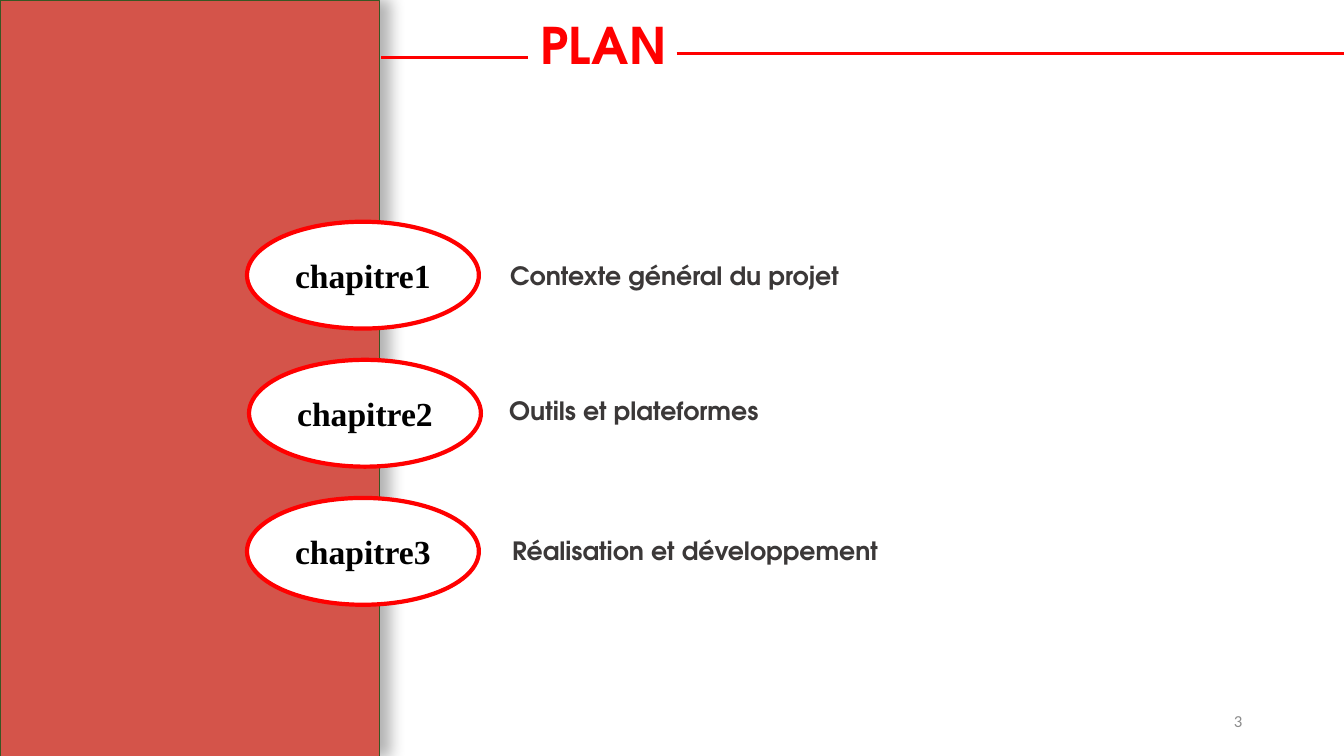
from lxml import etree
from pptx import Presentation
from pptx import util as u
from pptx.dml.color import RGBColor
from pptx.enum import shapes, text
from pptx.oxml.ns import qn

COLOURS = {
    "red": "FF0000", "panel": "D4544A", "panel_edge": "385723", "white": "FFFFFF",
    "black": "000000", "dark": "3B3838", "grey": "8C8C8C",
}
HEADING_FONT = "TeX Gyre Adventor"
SLIDE = (1333, 750)
PANEL_WIDTH = 376
TITLE = ("PLAN", (506, 9, 185, 71))
PAGE_NUMBER = ("3", (942, 695, 300, 40))
# y, start x, end x
TITLE_RULES = [(57, 378, 524), (53, 671, 1333)]
# label, oval left, topic, topic left, topic top, topic width
CHAPTERS = [
    ("chapitre1", 245, "Contexte général du projet", 496, 253, 518),
    ("chapitre2", 247, "Outils et plateformes", 495, 387, 569),
    ("chapitre3", 245, "Réalisation et développement", 498, 526, 511),
]
OVAL_TOP, OVAL_STEP, OVAL_SIZE = 220, 137, (230, 106)
TOPIC_HEIGHT = 40


def px(length):
    """Turn px, 100 to the inch, into EMU."""
    return u.Emu(length * 9144)


def colour(name):
    return RGBColor.from_string(COLOURS[name])


def write(shape, words, font, size, ink, align, bold=True):
    para = shape.text_frame.paragraphs[0]
    para.text = words
    para.alignment = align
    para.font.name = font
    para.font.size = u.Pt(size)
    para.font.bold = bold
    para.font.color.rgb = colour(ink)


def add_text(page, words, frame, font, size, ink, align, bold=True):
    box = page.shapes.add_textbox(*map(px, frame))
    box.text_frame.word_wrap = True
    write(box, words, font, size, ink, align, bold)
    return box


def add_shape(page, kind, frame, fill, edge, edge_width):
    shape = page.shapes.add_shape(kind, *map(px, frame))
    shape.shadow.inherit = False
    shape.fill.solid()
    shape.fill.fore_color.rgb = colour(fill)
    shape.line.color.rgb = colour(edge)
    shape.line.width = u.Pt(edge_width)
    return shape


def cast_shadow_right(shape):
    effects = shape._element.spPr.find(qn("a:effectLst"))
    shadow = etree.SubElement(
        effects, qn("a:outerShdw"), blurRad=str(u.Pt(10.8)), dist=str(u.Pt(8)),
        dir="0", algn="l", rotWithShape="0")
    tint = etree.SubElement(shadow, qn("a:srgbClr"), val=COLOURS["black"])
    etree.SubElement(tint, qn("a:alpha"), val="30000")


def add_rule(page, y, start, end):
    rule = page.shapes.add_connector(
        shapes.MSO_CONNECTOR.STRAIGHT, px(start), px(y), px(end), px(y))
    rule.line.color.rgb = colour("red")
    rule.line.width = u.Pt(2.25)
    etree.SubElement(rule._element.spPr, qn("a:effectLst"))


def main():
    deck = Presentation()
    deck.slide_width, deck.slide_height = map(px, SLIDE)
    page = deck.slides.add_slide(deck.slide_layouts[6])
    left, centre, right = text.PP_ALIGN.LEFT, text.PP_ALIGN.CENTER, text.PP_ALIGN.RIGHT

    number = add_text(page, *PAGE_NUMBER, "Calibri", 12, "grey", right, bold=False)
    number.text_frame.vertical_anchor = text.MSO_ANCHOR.MIDDLE

    panel = add_shape(page, shapes.MSO_SHAPE.RECTANGLE, (0, 0, PANEL_WIDTH, SLIDE[1]),
                      "panel", "panel_edge", 0.5)
    cast_shadow_right(panel)

    for rule in TITLE_RULES:
        add_rule(page, *rule)
    title = add_text(page, *TITLE, HEADING_FONT, 36, "red", centre)
    title.text_frame.auto_size = text.MSO_AUTO_SIZE.SHAPE_TO_FIT_TEXT

    for row, (label, oval_left, topic, topic_left, topic_top, width) in enumerate(CHAPTERS):
        oval = add_shape(page, shapes.MSO_SHAPE.OVAL,
                         (oval_left, OVAL_TOP + row * OVAL_STEP, *OVAL_SIZE),
                         "white", "red", 3)
        oval.text_frame.vertical_anchor = text.MSO_ANCHOR.MIDDLE
        write(oval, label, "Times New Roman", 24, "black", centre)
        box = add_text(page, topic, (topic_left, topic_top, width, TOPIC_HEIGHT),
                       HEADING_FONT, 18, "dark", left)
        box.text_frame.auto_size = text.MSO_AUTO_SIZE.SHAPE_TO_FIT_TEXT

    deck.save("out.pptx")


if __name__ == "__main__":
    main()
